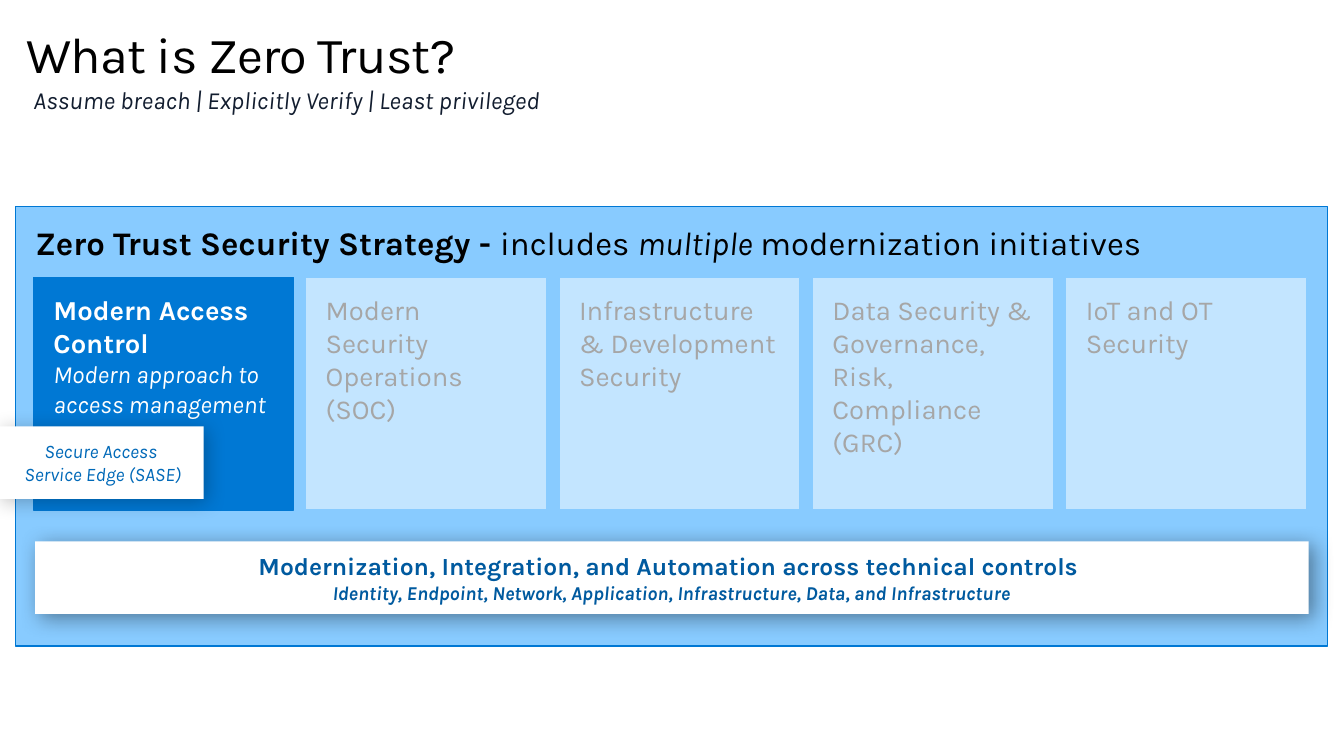
from dataclasses import dataclass

from lxml import etree
from pptx import Presentation
from pptx.dml.color import RGBColor
from pptx.enum.shapes import MSO_SHAPE
from pptx.enum.text import MSO_ANCHOR, PP_ALIGN
from pptx.oxml.ns import qn
from pptx.util import Inches, Pt

RECT = MSO_SHAPE.RECTANGLE
TOP, MIDDLE = MSO_ANCHOR.TOP, MSO_ANCHOR.MIDDLE
LEFT, CENTER = PP_ALIGN.LEFT, PP_ALIGN.CENTER

FONT = "Karla"
COLORS = {
    "black": "000000", "white": "FFFFFF", "ink": "121D2F", "gray": "A6A6A6",
    "sky": "88CBFF", "pale": "C3E5FF", "blue": "0078D4",
    "navy": "005A9F", "link": "0069B8",
}


@dataclass
class Run:
    text: str
    size: float
    color: str
    bold: bool = False
    italic: bool = False
    space: int = 0  # letter spacing in hundredths of a point


@dataclass
class Shade:
    alpha: int
    blur: float
    dist: float
    angle: int


@dataclass
class Box:
    left: float
    top: float
    width: float
    height: float
    fill: str
    line: str | None = None
    shade: Shade | None = None


def paint(name: str) -> RGBColor:
    return RGBColor.from_string(COLORS[name])


def write(shape, lines: list[list[Run]], *, align=LEFT, anchor=TOP,
          pads=(0.2, 0.16, 0.2, 0.16)) -> None:
    """Fill a shape with one paragraph per list of runs."""
    frame = shape.text_frame
    frame.word_wrap = True
    frame.vertical_anchor = anchor
    (frame.margin_left, frame.margin_top,
     frame.margin_right, frame.margin_bottom) = map(Inches, pads)
    for i, runs in enumerate(lines):
        para = frame.add_paragraph() if i else frame.paragraphs[0]
        para.alignment = align
        for run in runs:
            for j, part in enumerate(run.text.split("\n")):
                if j:
                    para.add_line_break()
                piece = para.add_run()
                piece.text = part
                font = piece.font
                font.name, font.size = FONT, Pt(run.size)
                font.bold, font.italic = run.bold, run.italic
                font.color.rgb = paint(run.color)
                if run.space:
                    piece.font._element.set("spc", str(run.space))


def cast(shape, shade: Shade) -> None:
    """Give a shape an outer shadow."""
    effects = shape._element.spPr.find(qn("a:effectLst"))
    outer = etree.SubElement(
        effects, qn("a:outerShdw"), blurRad=str(Pt(shade.blur)),
        dist=str(Pt(shade.dist)), dir=str(shade.angle * 60000),
        algn="tl", rotWithShape="0")
    color = etree.SubElement(outer, qn("a:srgbClr"), val=COLORS["black"])
    etree.SubElement(color, qn("a:alpha"), val=str(shade.alpha * 1000))


def draw(slide, box: Box):
    shape = slide.shapes.add_shape(
        RECT, *map(Inches, (box.left, box.top, box.width, box.height)))
    shape.shadow.inherit = False
    shape.fill.solid()
    shape.fill.fore_color.rgb = paint(box.fill)
    if box.line:
        shape.line.color.rgb = paint(box.line)
        shape.line.width = Pt(0.85)
    else:
        shape.line.fill.background()
    if box.shade:
        cast(shape, box.shade)
    return shape


def label(slide, left: float, top: float, width: float, height: float,
          run: Run) -> None:
    text = slide.shapes.add_textbox(*map(Inches, (left, top, width, height)))
    write(text, [[run]], pads=(0, 0, 0, 0))


def main() -> None:
    deck = Presentation()
    deck.slide_width, deck.slide_height = Inches(13.33), Inches(7.5)
    slide = deck.slides.add_slide(deck.slide_layouts[6])

    # Title
    label(slide, 0.26, 0.23, 12.05, 0.6,
          Run("What is Zero Trust?", 36, "black", space=-50))

    # Outer panel
    panel = draw(slide, Box(0.15, 2.05, 13.02, 4.36, "sky", "blue"))
    write(panel, [[
        Run("Zero Trust Security Strategy - ", 23.5, "black", bold=True),
        Run("includes ", 23.5, "black"),
        Run("multiple", 23.5, "black", italic=True),
        Run(" modernization initiatives", 23.5, "black"),
    ]])

    # Active card
    top, height = 2.75, 2.31
    active = draw(slide, Box(0.33, top, 2.58, height, "blue", "blue"))
    write(active, [
        [Run("Modern Access Control", 19.6, "white", bold=True)],
        [Run("Modern approach to access management", 17.6, "white",
             italic=True)],
    ])

    # Dimmed cards at an equal step
    first, last = 3.03, 10.57
    names = [
        "Modern Security Operations (SOC)",
        "Infrastructure & Development Security",
        "Data Security & Governance, Risk, Compliance (GRC)",
        "IoT and OT Security",
    ]
    step = (last - first) / (len(names) - 1)
    for i, name in enumerate(names):
        card = draw(slide, Box(first + i * step, top, 2.39, height,
                               "pale", "sky"))
        write(card, [[Run(name, 19.6, "gray")]])

    # Bottom bar
    bar = draw(slide, Box(0.35, 5.37, 12.63, 0.72, "white",
                          shade=Shade(40, 15, 4, 40)))
    write(bar, [
        [Run("Modernization, Integration, and Automation across technical "
             "controls ", 17.6, "navy", bold=True)],
        [Run("Identity, Endpoint, Network, Application, Infrastructure, "
             "Data, and Infrastructure", 14, "navy", bold=True,
             italic=True)],
    ], align=CENTER, anchor=MIDDLE)

    # Edge tag
    tag = draw(slide, Box(0, 4.23, 2.02, 0.72, "white",
                          shade=Shade(25, 15, 3, 45)))
    write(tag, [[Run("Secure Access \nService Edge (SASE)", 13.7, "link",
                     italic=True)]],
          align=CENTER, anchor=MIDDLE, pads=(0.12, 0.1, 0.1, 0.1))

    # Tagline
    label(slide, 0.33, 0.84, 6.62, 0.3,
          Run("Assume breach | Explicitly Verify | Least privileged", 17.6,
              "ink", italic=True))

    deck.save("out.pptx")


if __name__ == "__main__":
    main()
